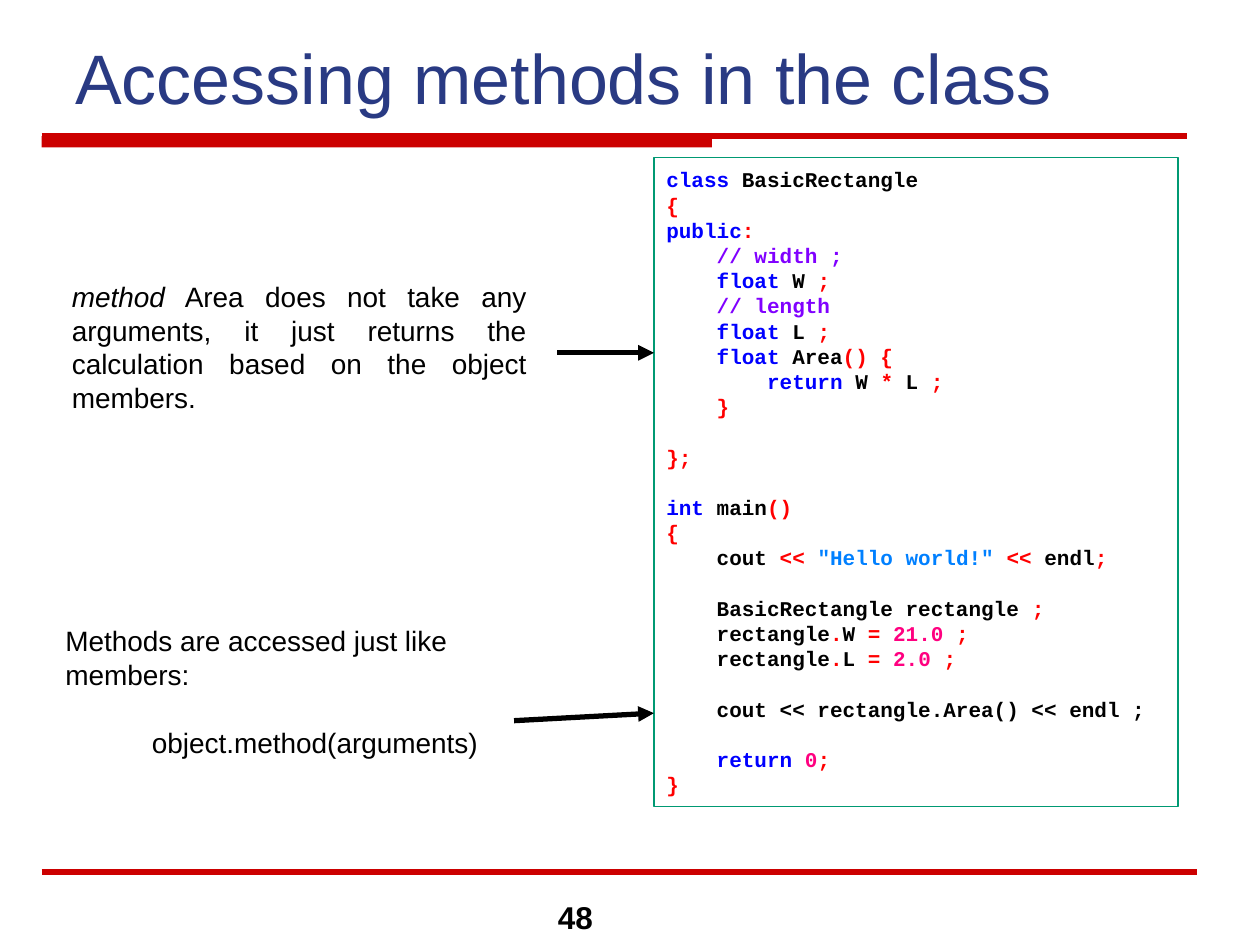
from dataclasses import dataclass

from lxml.etree import SubElement
from pptx import Presentation
from pptx.dml.color import RGBColor
from pptx.enum.shapes import MSO_CONNECTOR, MSO_SHAPE
from pptx.enum.text import MSO_ANCHOR, PP_ALIGN
from pptx.oxml.ns import qn
from pptx.util import Inches, Pt


@dataclass(frozen=True)
class Theme:
    title: str = "293A83"
    rule: str = "CC0000"
    frame: str = "009973"
    text: str = "000000"
    keyword: str = "0000FF"
    operator: str = "FF0000"
    comment: str = "8000FF"
    string: str = "0080FF"
    number: str = "FF0080"
    font: str = "Arial"
    code_font: str = "Courier New"
    title_size: int = 40
    page_size: int = 18
    body_size: int = 16
    code_size: int = 12
    leading: float = 1.2
    rule_width: int = 3


def apply(target, values):
    for name, value in values.items():
        setattr(target, name, value)


class SlideBuilder:
    def __init__(self, slide, theme):
        self.slide = slide
        self.theme = theme

    def frame(self, shape, margins=(0.1, 0.05), anchor=MSO_ANCHOR.TOP):
        side, edge = map(Inches, margins)
        apply(shape.text_frame, {
            "word_wrap": True, "vertical_anchor": anchor,
            "margin_left": side, "margin_right": side,
            "margin_top": edge, "margin_bottom": edge})
        return shape.text_frame

    def paragraph(self, frame, first, runs, size, font, leading=True, **layout):
        paragraph = frame.paragraphs[0] if first else frame.add_paragraph()
        if leading:
            paragraph.line_spacing = Pt(size * self.theme.leading)
        apply(paragraph, layout)
        for text, color, style in runs:
            run = paragraph.add_run()
            run.text = text
            apply(run.font, {"name": font, "size": Pt(size), **style})
            run.font.color.rgb = RGBColor.from_string(color)
        return paragraph

    def text(self, box, paragraphs, size, color=None, margins=(0.1, 0.05),
             anchor=MSO_ANCHOR.TOP, leading=True):
        shape = self.slide.shapes.add_textbox(*map(Inches, box))
        frame = self.frame(shape, margins, anchor)
        for index, (runs, layout) in enumerate(paragraphs):
            colored = [(words, color or self.theme.text, style) for words, style in runs]
            self.paragraph(frame, index == 0, colored, size, self.theme.font,
                           leading, **layout)

    def bar(self, box):
        shape = self.slide.shapes.add_shape(MSO_SHAPE.RECTANGLE, *map(Inches, box))
        shape.shadow.inherit = False
        shape.fill.solid()
        shape.fill.fore_color.rgb = RGBColor.from_string(self.theme.rule)
        shape.line.fill.background()

    def line(self, start, end, color, arrow=False):
        connector = self.slide.shapes.add_connector(
            MSO_CONNECTOR.STRAIGHT, *map(Inches, start + end))
        connector.line.color.rgb = RGBColor.from_string(color)
        connector.line.width = Pt(self.theme.rule_width)
        if arrow:
            SubElement(connector.line._get_or_add_ln(), qn("a:headEnd"), type="triangle")
        SubElement(connector._element.spPr, qn("a:effectLst"))

    def code(self, box, lines):
        theme = self.theme
        shape = self.slide.shapes.add_shape(MSO_SHAPE.RECTANGLE, *map(Inches, box))
        shape.shadow.inherit = False
        shape.fill.background()
        shape.line.color.rgb = RGBColor.from_string(theme.frame)
        shape.line.width = Pt(0.75)
        frame = self.frame(shape, anchor=MSO_ANCHOR.MIDDLE)
        for index, (level, gap, *tokens) in enumerate(lines):
            runs = [(words, getattr(theme, kind), {"bold": True}) for kind, words in tokens]
            paragraph = self.paragraph(
                frame, index == 0, runs, theme.code_size, theme.code_font,
                alignment=PP_ALIGN.LEFT,
                space_before=Pt(gap * theme.code_size * theme.leading))
            # One level is four characters wide
            apply_indent = paragraph._p.get_or_add_pPr()
            apply_indent.set("marL", str(Inches(0.4 * level)))
            apply_indent.set("indent", "0")


def field(name):
    return (1, 0, ("keyword", "float"), ("text", f" {name} "), ("operator", ";"))


def assignment(name, value, gap):
    return (1, gap, ("text", "rectangle"), ("operator", "."), ("text", f"{name} "),
            ("operator", "= "), ("number", value), ("operator", " ;"))


# Each line: indent level, blank lines above, coloured tokens
CODE = [
    (0, 0, ("keyword", "class"), ("text", " BasicRectangle")),
    (0, 0, ("operator", "{")),
    (0, 0, ("keyword", "public"), ("operator", ":")),
    (1, 0, ("comment", "// width ;")),
    field("W"),
    (1, 0, ("comment", "// length")),
    field("L"),
    (1, 0, ("keyword", "float"), ("text", " Area"), ("operator", "() {")),
    (2, 0, ("keyword", "return"), ("text", " W "), ("operator", "*"),
     ("text", " L "), ("operator", ";")),
    (1, 0, ("operator", "}")),
    (0, 1, ("operator", "};")),
    (0, 1, ("keyword", "int"), ("text", " main"), ("operator", "()")),
    (0, 0, ("operator", "{")),
    (1, 0, ("text", "cout "), ("operator", "<< "), ("string", '"Hello world!"'),
     ("operator", " <<"), ("text", " endl"), ("operator", ";")),
    (1, 1, ("text", "BasicRectangle rectangle "), ("operator", ";")),
    assignment("W", "21.0", 0),
    assignment("L", "2.0", 0),
    (1, 1, ("text", "cout << rectangle.Area() << endl ;")),
    (1, 1, ("keyword", "return "), ("number", "0"), ("operator", ";")),
    (0, 0, ("operator", "}")),
]


def main():
    deck = Presentation()
    apply(deck, {"slide_width": Inches(10), "slide_height": Inches(7.5)})
    theme = Theme()
    page = SlideBuilder(deck.slides.add_slide(deck.slide_layouts[6]), theme)

    # Rules above and below the content
    page.bar((0.33, 1.08, 5.32, 0.09))
    page.line((0.33, 1.08), (9.42, 1.08), theme.rule)
    page.line((0.33, 6.92), (9.5, 6.92), theme.rule)

    # Title
    page.text((0.5, 0.16, 8.66, 0.83), [([("Accessing methods in the class", {})], {})],
              theme.title_size, theme.title, anchor=MSO_ANCHOR.BOTTOM, leading=False)

    # Code listing
    page.code((5.19, 1.25, 4.16, 5.15), CODE)

    # Explanations
    page.text((0.5, 2.18, 3.75, 1.36), [(
        [("method", {"italic": True}),
         (" Area does not take any arguments, it just returns the calculation "
          "based on the object members.", {})],
        {"alignment": PP_ALIGN.JUSTIFY})], theme.body_size, margins=(0.07, 0.04))
    page.text((0.42, 4.9, 4.16, 1.19), [
        ([("Methods are accessed just like members:", {})], {}),
        ([("object.method(arguments)", {})],
         {"alignment": PP_ALIGN.CENTER, "space_before": Pt(20)}),
    ], theme.body_size)

    # Arrows to the code
    for code_end, note_end in (((5.19, 2.8), (4.42, 2.8)), ((5.19, 5.66), (4.08, 5.72))):
        page.line(code_end, note_end, theme.text, arrow=True)

    # Page number
    page.text((4.33, 7.08, 0.66, 0.4), [([("48", {"bold": True})], {})],
              theme.page_size, leading=False)

    deck.save("out.pptx")


if __name__ == "__main__":
    main()
